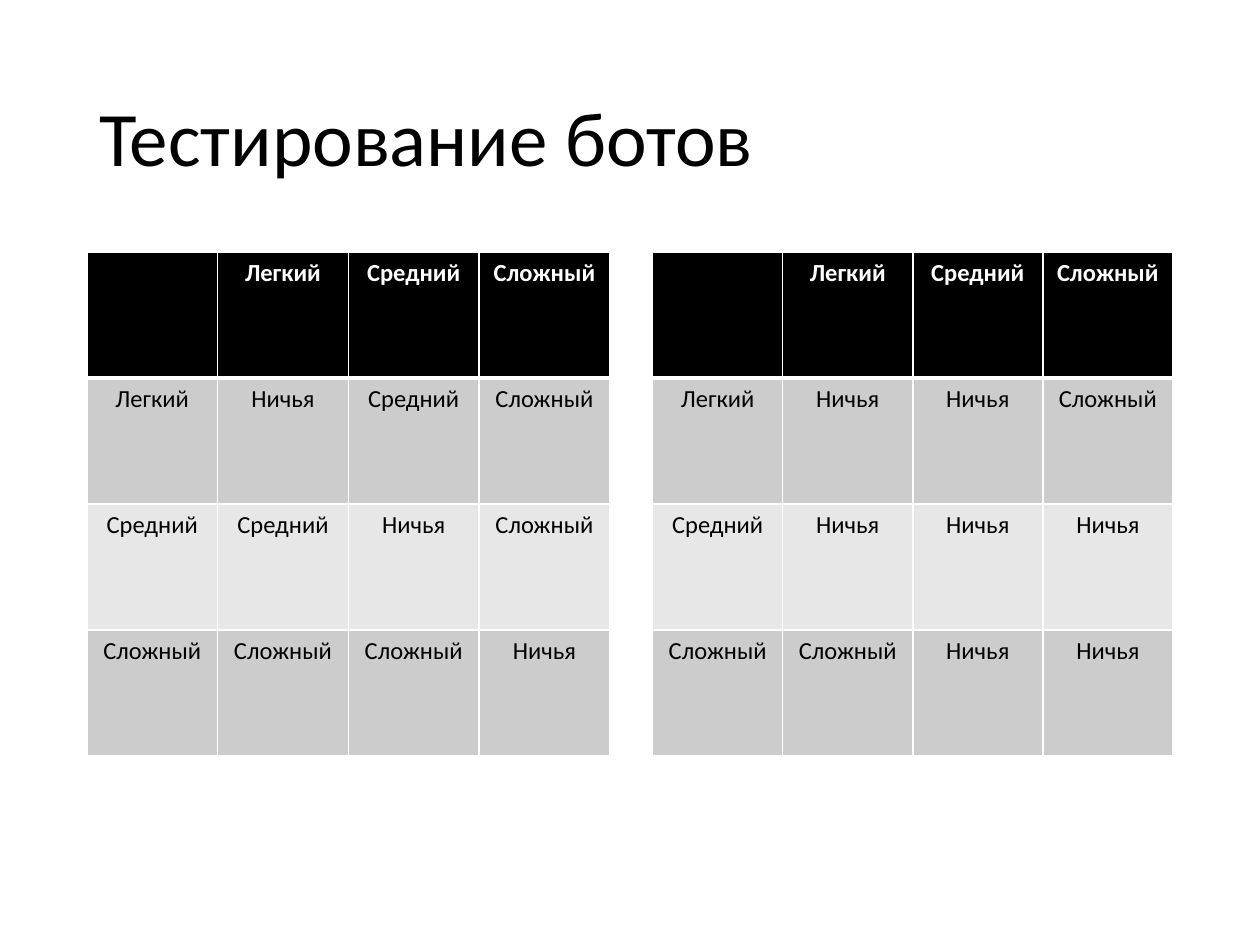
from lxml import etree
from pptx import Presentation
from pptx import util as u
from pptx.dml import color
from pptx.enum import text
from pptx.oxml import ns

LEVELS = ["Легкий", "Средний", "Сложный"]
EASY, MID, HARD = LEVELS
DRAW = "Ничья"
FIRST = [[DRAW, MID, HARD], [MID, DRAW, HARD], [HARD, HARD, DRAW]]
SECOND = [[DRAW, DRAW, HARD], [DRAW, DRAW, DRAW], [HARD, DRAW, DRAW]]


def rgb(code):
    return color.RGBColor.from_string(code)


def write(frame, words, size=14, ink="000000", bold=False, align=None, lead=None):
    par = frame.paragraphs[0]
    par.alignment = align
    par.line_spacing = lead
    run = par.add_run()
    run.text = words
    font = run.font
    font.name, font.size, font.bold = "Calibri", u.Pt(size), bold
    font.color.rgb = rgb(ink)


def edge(cell, side, width):
    props = cell._tc.get_or_add_tcPr()
    line = etree.SubElement(props, ns.qn("a:ln" + side), w=str(u.Pt(width)))
    fill = etree.SubElement(line, ns.qn("a:solidFill"))
    etree.SubElement(fill, ns.qn("a:srgbClr"), val="FFFFFF")


def style(cell, row):
    # Borders go before the fill; a thick rule sits under the header
    thick = {(0, "B"), (1, "T")}
    for side in "LRTB":
        edge(cell, side, 3 if (row, side) in thick else 1)
    cell.fill.solid()
    shade = "000000" if row == 0 else ("CCCCCC" if row % 2 else "E7E7E7")
    cell.fill.fore_color.rgb = rgb(shade)


def add_grid(slide, left, width, scores):
    rows = [[""] + LEVELS]
    rows += [[name] + line for name, line in zip(LEVELS, scores)]
    count = len(rows)
    grid = slide.shapes.add_table(count, count, u.Inches(left), u.Inches(2),
                                  u.Inches(width), u.Inches(4)).table
    for r, line in enumerate(rows):
        for c, words in enumerate(line):
            cell = grid.cell(r, c)
            style(cell, r)
            if words:
                write(cell.text_frame, words, bold=r == 0,
                      ink="000000" if r else "FFFFFF",
                      align=text.PP_ALIGN.CENTER)


def add_title(slide, words):
    box = slide.shapes.add_textbox(u.Inches(0.69), u.Inches(0.4),
                                   u.Inches(8.62), u.Inches(1.45))
    frame = box.text_frame
    frame.word_wrap = True
    frame.vertical_anchor = text.MSO_ANCHOR.MIDDLE
    write(frame, words, size=44, lead=0.9)


def main():
    deck = Presentation()
    deck.slide_width, deck.slide_height = u.Inches(10), u.Inches(7.5)
    slide = deck.slides.add_slide(deck.slide_layouts[6])

    # Heading
    add_title(slide, "Тестирование ботов")

    # Results of the two test runs
    add_grid(slide, 0.69, 4.15, FIRST)
    add_grid(slide, 5.18, 4.13, SECOND)

    deck.save("out.pptx")


main()
